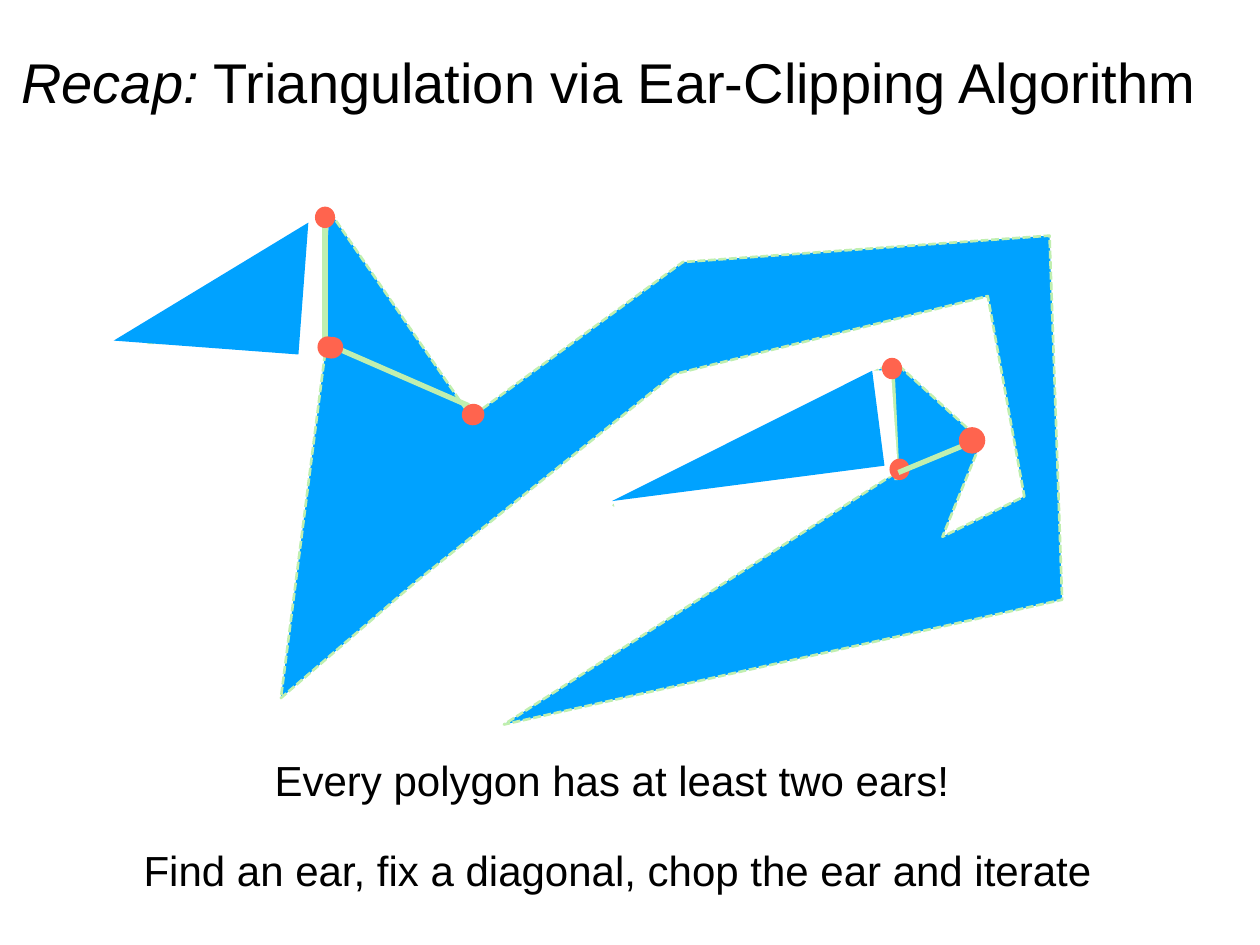
from lxml import etree
from pptx import Presentation
from pptx.dml.color import RGBColor
from pptx.enum import dml, shapes, text
from pptx.oxml import ns
from pptx.util import Inches, Pt

COLORS = {"polygon": "00A2FF", "edge": "C0EFAF", "vertex": "FF644E",
          "mask": "FFFFFF", "text": "000000"}
KINDS = {"rect": shapes.MSO_SHAPE.RECTANGLE,
         "ear": shapes.MSO_SHAPE.ISOSCELES_TRIANGLE,
         "dot": shapes.MSO_SHAPE.OVAL}

POLYGON = [(0.17, 1.22), (1.59, 0.14), (2.74, 1.81), (4.42, 0.58),
           (7.33, 0.37), (7.43, 3.26), (3, 4.25), (6.13, 2.24),
           (3.87, 2.51), (6.1, 1.37), (6.79, 2), (6.48, 2.76),
           (7.13, 2.44), (6.84, 0.85), (4.35, 1.47), (2.31, 3.11),
           (1.23, 4.04), (1.59, 1.23)]
MASKS = [(-0.25, -0.41, 1.85, 1.63, 3), (4.45, 1.49, 1.65, 0.79, 356),
         (3.85, 1.95, 2.19, 0.64, 343.9)]
EARS = [(-0.06, 0.21, 1.47, 1.05, 4.3), (3.8, 1.58, 2.18, 0.76, 352.6)]
RIGHT_SIDE = (6.08, 1.44, 6.12, 2.31)
LEFT_SIDE = (1.58, 0.18, 1.58, 1.25)
DIAGONALS = [(1.62, 1.24, 2.72, 1.72), (6.13, 2.25, 6.71, 2.01)]
SIDE_DOTS = [(x, y, 0.16, 0.17, 0) for x, y in
             [(1.52, 1.17), (1.5, 0.14), (6.06, 2.14), (6, 1.34)]]
END_DOTS = [(2.67, 1.7, 0.17, 0.18, 257.7), (1.55, 1.17, 0.17, 0.18, 244.1),
            (6.61, 1.89, 0.21, 0.21, 0)]


def rgb(name):
    """Return the named colour."""
    return RGBColor.from_string(COLORS[name])


def fill_shape(sp, color):
    """Give a shape a plain fill without shadow."""
    sp.shadow.inherit = False
    sp.fill.solid()
    sp.fill.fore_color.rgb = rgb(color)


def add_polygon(s, left, top):
    """Draw the dashed polygon from the figure's corner."""
    points = [(left + Inches(x), top + Inches(y)) for x, y in POLYGON]
    builder = s.shapes.build_freeform(*points[0])
    builder.add_line_segments(points[1:], close=True)
    sp = builder.convert_to_shape()
    fill_shape(sp, "polygon")
    sp.line.color.rgb = rgb("edge")
    for name, value in {"width": Pt(1.5),
                        "dash_style": dml.MSO_LINE.SQUARE_DOT}.items():
        setattr(sp.line, name, value)


def add_parts(s, left, top, kind, color, parts):
    """Place filled shapes of one kind."""
    for x, y, width, height, rotation in parts:
        sp = s.shapes.add_shape(KINDS[kind], left + Inches(x), top + Inches(y),
                                Inches(width), Inches(height))
        sp.rotation = rotation
        fill_shape(sp, color)
        sp.line.fill.background()
        if kind == "ear":
            sp.adjustments[0] = 1


def add_diagonals(s, left, top, diagonals):
    """Draw solid diagonals."""
    for x1, y1, x2, y2 in diagonals:
        line = s.shapes.add_connector(
            shapes.MSO_CONNECTOR.STRAIGHT, left + Inches(x1), top + Inches(y1),
            left + Inches(x2), top + Inches(y2))
        line.line.color.rgb = rgb("edge")
        line.line.width = Pt(3)
        etree.SubElement(line._element.spPr, ns.qn("a:effectLst"))


def add_figure(s, left, top):
    """Draw the polygon with both ears clipped, from back to front."""
    add_polygon(s, left, top)
    add_diagonals(s, left, top, [RIGHT_SIDE])
    add_parts(s, left, top, "rect", "mask", MASKS)
    add_parts(s, left, top, "ear", "polygon", EARS)
    add_diagonals(s, left, top, [LEFT_SIDE])
    add_parts(s, left, top, "dot", "vertex", SIDE_DOTS)
    add_diagonals(s, left, top, DIAGONALS)
    add_parts(s, left, top, "dot", "vertex", END_DOTS)


def add_caption(s, box, size, runs):
    """Write one line of text, each run plain or italic."""
    tf = s.shapes.add_textbox(*map(Inches, box)).text_frame
    margins = dict.fromkeys(["margin_left", "margin_top", "margin_right",
                             "margin_bottom"], Inches(0.06))
    for name, value in {**margins, "word_wrap": True,
                        "vertical_anchor": text.MSO_ANCHOR.MIDDLE}.items():
        setattr(tf, name, value)
    p = tf.paragraphs[0]
    for words, italic in runs:
        r = p.add_run()
        r.text = words
        for name, value in {"name": "Arial", "size": Pt(size),
                            "italic": italic}.items():
            setattr(r.font, name, value)
        r.font.color.rgb = rgb("text")


def main():
    """Build and save the slide."""
    prs = Presentation()
    prs.slide_width, prs.slide_height = Inches(10), Inches(7.5)
    s = prs.slides.add_slide(prs.slide_layouts[6])
    add_figure(s, Inches(1), Inches(1.5))
    add_caption(s, (0.11, 0.32, 9.62, 0.65), 32,
                [("Recap:", True),
                 (" Triangulation via Ear-Clipping Algorithm", False)])
    add_caption(s, (2.12, 5.93, 6.33, 0.52), 24,
                [("Every polygon has at least two ears!", False)])
    add_caption(s, (1.08, 6.64, 7.69, 0.52), 24,
                [("Find an ear, fix a diagonal, chop the ear and iterate", False)])
    prs.save("out.pptx")


if __name__ == "__main__":
    main()
